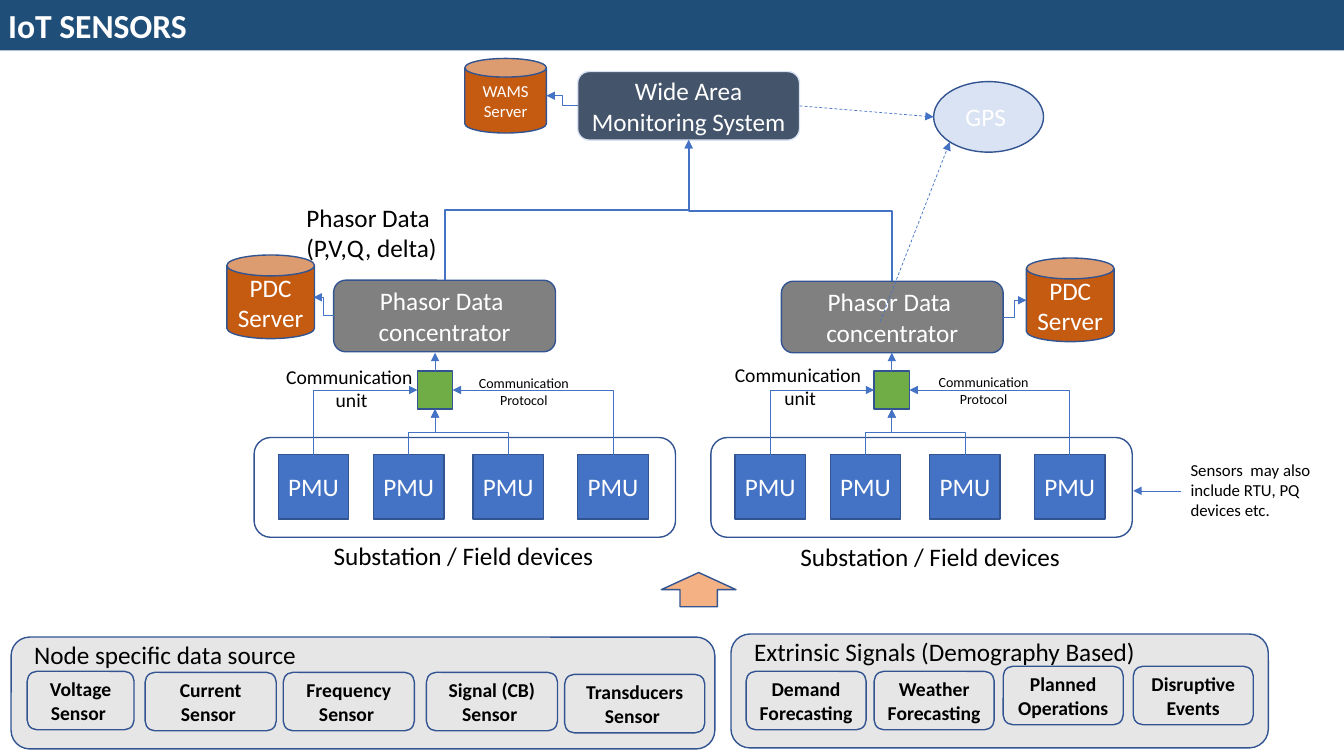
from dataclasses import dataclass

from lxml.etree import SubElement
from pptx import Presentation
from pptx.dml.color import RGBColor
from pptx.enum.dml import MSO_LINE
from pptx.enum.shapes import MSO_CONNECTOR, MSO_SHAPE
from pptx.enum.text import MSO_ANCHOR, MSO_AUTO_SIZE, PP_ALIGN
from pptx.oxml.ns import qn
from pptx.util import Inches, Pt


@dataclass(frozen=True)
class Theme:
    font: str = "Calibri"
    banner: str = "1F4E79"
    outline: str = "325491"
    wire: str = "4472C4"
    device: str = "4472C4"
    unit: str = "70AD47"
    server: str = "C55A11"
    concentrator: str = "808080"
    system: str = "44546A"
    pale: str = "DAE3F3"
    panel: str = "E7E6E6"
    flow: str = "F4B183"
    light: str = "FFFFFF"
    dark: str = "000000"
    heading: int = 24
    body: int = 18
    small: int = 14
    note: int = 12
    tiny: int = 10
    thin: float = 0.5
    border: float = 1
    trunk: float = 1.5


def cells(*values):
    return [Inches(v / 10) for v in values]


def write(tf, text, font="Calibri", size=18, color="000000", bold=False,
          align=PP_ALIGN.LEFT, anchor=MSO_ANCHOR.TOP, wrap=True, inset=0.1):
    tf.word_wrap = wrap
    tf.auto_size = MSO_AUTO_SIZE.NONE
    tf.vertical_anchor = anchor
    tf.margin_left = tf.margin_right = Inches(inset)
    tf.margin_top = tf.margin_bottom = Inches(0.05)
    for i, line in enumerate(text.split("\n")):
        p = tf.add_paragraph() if i else tf.paragraphs[0]
        p.alignment = align
        r = p.add_run()
        r.text = line
        r.font.name = font
        r.font.size = Pt(size)
        r.font.bold = bold
        r.font.color.rgb = RGBColor.from_string(color)


class Board:
    def __init__(self, slide, theme):
        self.s = slide
        self.t = theme

    def title(self, text, *at):
        sp = self.s.shapes.title
        sp.left, sp.top, sp.width, sp.height = cells(*at)
        sp.fill.solid()
        sp.fill.fore_color.rgb = RGBColor.from_string(self.t.banner)
        write(sp.text_frame, text, self.t.font, self.t.heading, self.t.light,
              bold=True, anchor=MSO_ANCHOR.MIDDLE, inset=0.08)

    def shape(self, kind, *at, fill=None, line=None, text=None, **fmt):
        sp = self.s.shapes.add_shape(kind, *cells(*at))
        sp.shadow.inherit = False
        if fill:
            sp.fill.solid()
            sp.fill.fore_color.rgb = RGBColor.from_string(fill)
        else:
            sp.fill.background()
        sp.line.color.rgb = RGBColor.from_string(line or self.t.outline)
        sp.line.width = Pt(self.t.border)
        if text:
            look = dict(font=self.t.font, size=self.t.body, color=self.t.light,
                        align=PP_ALIGN.CENTER, anchor=MSO_ANCHOR.MIDDLE, inset=0.05)
            write(sp.text_frame, text, **{**look, **fmt})

    def label(self, text, *at, **fmt):
        sp = self.s.shapes.add_textbox(*cells(*at))
        look = dict(font=self.t.font, size=self.t.body, color=self.t.dark)
        write(sp.text_frame, text, **{**look, **fmt})

    def arrow(self, x1, y1, x2, y2, kind=MSO_CONNECTOR.STRAIGHT, width=None, dashed=False):
        c = self.s.shapes.add_connector(kind, *cells(x1, y1, x2, y2))
        c.line.color.rgb = RGBColor.from_string(self.t.wire)
        c.line.width = Pt(width or self.t.thin)
        if dashed:
            c.line.dash_style = MSO_LINE.DASH
        spPr = c._element.spPr
        SubElement(spPr.find(qn("a:ln")), qn("a:tailEnd"), type="triangle")
        SubElement(spPr, qn("a:effectLst"))
        return spPr

    def side_elbow(self, *ends):
        self.arrow(*ends, kind=MSO_CONNECTOR.ELBOW)

    def rising_elbow(self, x1, y1, x2, y2, one_turn=False, width=None):
        side = 1 if x2 > x1 else -1
        cx, cy = (x1 + x2) / 2, (y1 + y2) / 2
        half_w, half_h = side * (y1 - y2) / 2, abs(x2 - x1) / 2
        spPr = self.arrow(cx + half_w, cy + half_h, cx - half_w, cy - half_h,
                          MSO_CONNECTOR.ELBOW, width)
        spPr.find(qn("a:xfrm")).set("rot", str((90 if side > 0 else 270) * 60000))
        if one_turn:
            spPr.find(qn("a:prstGeom")).set("prst", "bentConnector2")


def station(b, x, caption, comm, protocol, concentrator):
    t = b.t
    b.shape(MSO_SHAPE.ROUNDED_RECTANGLE, x, 43.4, 41.8, 9.9)
    unit_x, unit_y, unit_w, unit_h = x + 16.2, 36.8, 3.5, 3.8
    mid_x, mid_y = unit_x + unit_w / 2, unit_y + unit_h / 2
    b.shape(MSO_SHAPE.RECTANGLE, unit_x, unit_y, unit_w, unit_h, fill=t.unit)
    targets = [(unit_x, mid_y), (mid_x, unit_y + unit_h),
               (mid_x, unit_y + unit_h), (unit_x + unit_w, mid_y)]
    for i, (offset, target) in enumerate(zip((2.4, 11.85, 21.7, 32.1), targets)):
        b.shape(MSO_SHAPE.RECTANGLE, x + offset, 45.1, 7, 6.4, fill=t.device, text="PMU")
        b.rising_elbow(x + offset + 3.5, 45.1, *target, one_turn=i in (0, 3))
    b.shape(MSO_SHAPE.ROUNDED_RECTANGLE, *concentrator, 22, 7.1,
            fill=t.concentrator, text="Phasor Data \nconcentrator")
    b.arrow(mid_x, unit_y, mid_x, 35)
    b.rising_elbow(concentrator[0] + 11, concentrator[1], 68.3, 13.9, width=t.trunk)
    b.label("Substation / Field devices", *caption, 28.1, 4, wrap=False)
    b.label("Communication\n unit", *comm, 14.7, 5.7, size=t.small,
            align=PP_ALIGN.CENTER, wrap=False)
    b.label("Communication\nProtocol", *protocol, 15.1, 4.4, size=t.tiny,
            align=PP_ALIGN.CENTER)


def source_panel(b, at, heading, heading_at, items):
    b.shape(MSO_SHAPE.ROUNDED_RECTANGLE, *at, fill=b.t.panel)
    b.label(heading, *heading_at)
    for text, x, y, w in items:
        b.shape(MSO_SHAPE.ROUNDED_RECTANGLE, x, y, w, 5.8, text=text,
                size=b.t.small, color=b.t.dark, bold=True)


prs = Presentation()
prs.slide_width, prs.slide_height = Inches(13.33), Inches(7.5)
t = Theme()
b = Board(prs.slides.add_slide(prs.slide_layouts[5]), t)
b.title("IoT SENSORS", 0, 0, 133.3, 5)

b.shape(MSO_SHAPE.ROUNDED_RECTANGLE, 57.3, 7.1, 22, 6.8, fill=t.system, line=t.pale,
        text="Wide Area Monitoring System")
b.shape(MSO_SHAPE.OVAL, 92.6, 8.1, 10.9, 7, fill=t.pale, text="GPS ")
station(b, 25.2, (32.1, 53.1), (27.3, 35.7), (44.4, 36.7), (33.1, 27.8))
station(b, 70.5, (78.4, 53.2), (71.8, 35.5), (90, 36.6), (77.5, 27.9))

for name, at, size in (("WAMS Server", (46.1, 5.8, 8.1, 7.4), t.note),
                       ("PDC Server", (22.5, 25.3, 8.7, 8.3), t.body),
                       ("PDC Server", (101.8, 25.6, 8.7, 8.3), t.body)):
    b.shape(MSO_SHAPE.CAN, *at, fill=t.server, text=name, size=size)
for ends in ((57.3, 10.5, 54.2, 9.5), (33.1, 31.3, 31.1, 29.5), (99.5, 31.5, 101.8, 29.8)):
    b.side_elbow(*ends)
for ends in ((79.3, 10.5, 92.6, 11.6), (87.3, 31.9, 94.2, 14.1)):
    b.arrow(*ends, dashed=True)

b.label("Phasor Data \n(P,V,Q, delta)", 29.4, 19.6, 16.4, 7.1)
b.arrow(117.1, 48.7, 112.4, 48.7)
b.label("Sensors  may also include RTU, PQ devices etc.", 117.1, 45.1, 14.3, 7.1, size=t.note)
b.shape(MSO_SHAPE.UP_ARROW, 65.6, 56.8, 7.4, 3.4, fill=t.flow)

source_panel(b, (1.1, 63.2, 69.8, 11.1), "Node specific data source", (2.4, 62.9, 51.9, 4),
             (("Voltage\nSensor ", 2.7, 66.6, 10.6),
              ("Current\nSensor ", 14.4, 66.7, 13),
              ("Frequency\nSensor ", 28.1, 66.7, 13),
              ("Signal (CB)\nSensor ", 42.3, 66.7, 13),
              ("Transducers\nSensor ", 56, 66.9, 13.9)))
source_panel(b, (72.5, 62.9, 53.3, 11.3), "Extrinsic Signals (Demography Based)",
             (73.8, 62.6, 41.8, 4),
             (("Demand\nForecasting", 74, 66.6, 11.9),
              ("Weather\nForecasting", 86.7, 66.6, 11.9),
              ("Planned\nOperations", 99.5, 66.1, 11.9),
              ("Disruptive\nEvents", 112.4, 66.1, 11.9)))

prs.save("out.pptx")
